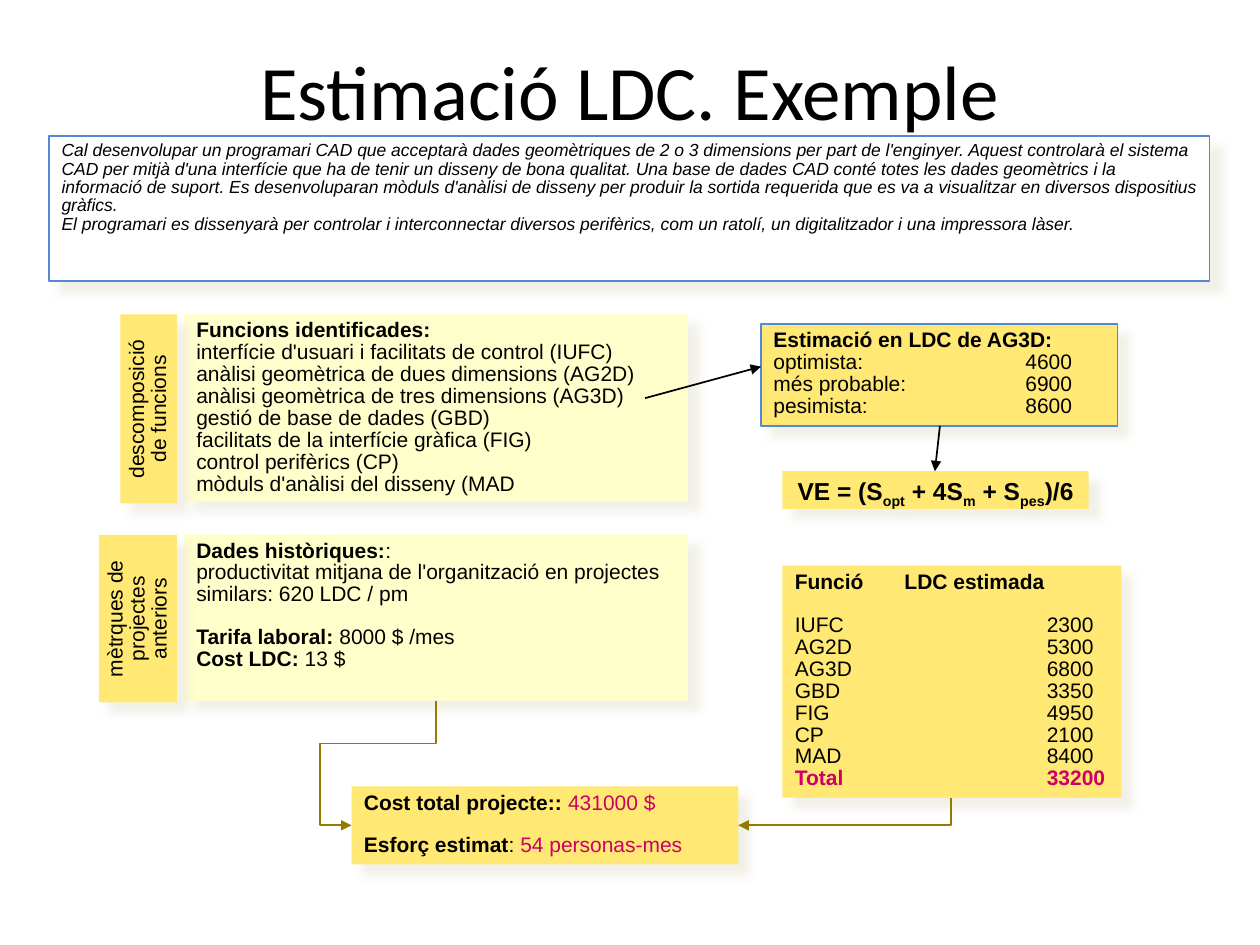
from lxml import etree
from pptx import Presentation
from pptx.dml.color import RGBColor
from pptx.enum import shapes, text
from pptx.oxml import ns
from pptx.util import Inches, Pt

YELLOW, CREAM, WHITE = "FFE873", "FFFFCC", "FFFFFF"
BLUE, GOLD, BLACK, PINK = "5488D4", "947B00", "000000", "CC0066"
BOLD = {"bold": True}
SUB = {"bold": True, "base": -25000}

TITLE = "Estimació LDC. Exemple"
BRIEF = [
    "Cal desenvolupar un programari CAD que acceptarà dades geomètriques de 2 o 3 dimensions "
    "per part de l'enginyer. Aquest controlarà el sistema CAD per mitjà d'una interfície que ha "
    "de tenir un disseny de bona qualitat. Una base de dades CAD conté totes les dades "
    "geomètrics i la informació de suport. Es desenvoluparan mòduls d'anàlisi de disseny per "
    "produir la sortida requerida que es va a visualitzar en diversos dispositius gràfics.",
    "El programari es dissenyarà per controlar i interconnectar diversos perifèrics, com un "
    "ratolí, un digitalitzador i una impressora làser.",
]
FUNCTIONS = [
    "interfície d'usuari i facilitats de control (IUFC)",
    "anàlisi geomètrica de dues dimensions (AG2D)",
    "anàlisi geomètrica de tres dimensions (AG3D)",
    "gestió de base de dades (GBD)",
    "facilitats de la interfície gràfica (FIG)",
    "control perifèrics (CP)",
    "mòduls d'anàlisi del disseny (MAD",
]
ESTIMATES = [("optimista:", 4600), ("més probable:", 6900), ("pesimista:", 8600)]
LDC = [("IUFC", 2300), ("AG2D", 5300), ("AG3D", 6800), ("GBD", 3350),
       ("FIG", 4950), ("CP", 2100), ("MAD", 8400)]
FORMULA = [("VE = (S", BOLD), ("opt", SUB), (" + 4S", BOLD), ("m", SUB),
           (" + S", BOLD), ("pes", SUB), (")/6", BOLD)]


def rgb(value):
    return RGBColor.from_string(value)


def child(parent, tag, **attrs):
    return etree.SubElement(parent, ns.qn(tag), attrs)


def add_run(p, content, size=12, color=BLACK, bold=False, italic=False, base=None, font="Arial"):
    r = p.add_run()
    r.text = content
    f = r.font
    f.name, f.size, f.bold, f.italic = font, Pt(size), bold, italic
    f.color.rgb = rgb(color)
    if base:
        r._r.get_or_add_rPr().set("baseline", str(base))


def add_box(s, at, paragraphs, fill=YELLOW, line=None, rotation=0, align="LEFT",
            gaps=(), tabs=None, **fmt):
    sp = s.shapes.add_shape(shapes.MSO_SHAPE.RECTANGLE, *map(Inches, at))
    sp.rotation = rotation
    sp.fill.solid()
    sp.fill.fore_color.rgb = rgb(fill)
    if line:
        sp.line.color.rgb = rgb(line)
        sp.line.width = Pt(1)
    else:
        sp.line.fill.background()
    sp.shadow.inherit = False
    effects = sp._element.spPr.find(ns.qn("a:effectLst"))
    shadow = child(effects, "a:outerShdw", blurRad=str(Pt(5)), dist=str(Pt(8.5)),
                   dir="2700000", algn="ctr", rotWithShape="0")
    child(child(shadow, "a:srgbClr", val="EEECE1"), "a:alpha", val="75000")
    tf = sp.text_frame
    tf.word_wrap = True
    tf.vertical_anchor = text.MSO_ANCHOR.TOP
    for i, runs in enumerate(paragraphs):
        p = tf.add_paragraph() if i else tf.paragraphs[0]
        p.alignment = getattr(text.PP_ALIGN, align)
        p.line_spacing = 0.87
        if i in gaps:
            p.space_before = Pt(12)
        if tabs:
            stop = tabs[0] if i == 0 else tabs[-1]
            child(child(p._p.get_or_add_pPr(), "a:tabLst"), "a:tab",
                  pos=str(Inches(stop)), algn="l")
        for content, own in [(runs, {})] if isinstance(runs, str) else runs:
            add_run(p, content, **{**fmt, **own})


def add_arrow(s, start, end, color=BLACK, bend=None, adjust=()):
    (x1, y1), (x2, y2) = start, end
    kind = shapes.MSO_CONNECTOR.STRAIGHT
    if bend:
        kind = shapes.MSO_CONNECTOR.ELBOW
        cx, cy = (x1 + x2) / 2, (y1 + y2) / 2
        w, h = abs(y2 - y1), abs(x2 - x1)
        x1, y1, x2, y2 = cx - w / 2, cy - h / 2, cx + w / 2, cy + h / 2
    cn = s.shapes.add_connector(kind, *map(Inches, (x1, y1, x2, y2)))
    cn.line.color.rgb = rgb(color)
    cn.line.width = Pt(1)
    child(cn.line._get_or_add_ln(), "a:tailEnd", type="triangle")
    props = cn._element.spPr
    child(props, "a:effectLst")
    if bend:
        props.find(ns.qn("a:xfrm")).set("rot", "5400000")
        geometry = props.find(ns.qn("a:prstGeom"))
        geometry.set("prst", bend)
        guides = geometry.find(ns.qn("a:avLst"))
        for i, value in enumerate(adjust, 1):
            child(guides, "a:gd", name=f"adj{i}", fmla=f"val {value}")


def rows(pairs):
    return [f"{name}\t{value}" for name, value in pairs]


def main():
    prs = Presentation()
    prs.slide_width, prs.slide_height = Inches(10), Inches(7.5)
    s = prs.slides.add_slide(prs.slide_layouts[5])
    title = s.shapes.title
    title.left, title.top, title.width, title.height = map(Inches, (0.5, 0.09, 9, 1.25))
    title.text_frame.vertical_anchor = text.MSO_ANCHOR.MIDDLE
    p = title.text_frame.paragraphs[0]
    p.alignment = text.PP_ALIGN.CENTER
    add_run(p, TITLE, size=44, font="Calibri")

    add_box(s, (0.39, 1.08, 9.21, 1.15), BRIEF, WHITE, BLUE, size=10, italic=True)
    add_box(s, (1.46, 2.49, 4, 1.49), [[("Funcions identificades:", BOLD)], *FUNCTIONS], CREAM)
    add_box(s, (6.04, 2.57, 2.83, 0.81),
            [[("Estimació en LDC de AG3D:", BOLD)], *rows(ESTIMATES)], line=BLUE, tabs=[2])
    add_box(s, (6.21, 3.74, 2.43, 0.3), [FORMULA], align="CENTER", size=14)
    add_box(s, (6.21, 4.49, 2.69, 1.84),
            [[("Funció\tLDC estimada", BOLD)], *rows(LDC),
             [("Total\t33200", {"bold": True, "color": PINK})]], gaps=[1], tabs=[0.87, 2])
    add_box(s, (1.46, 4.24, 4, 1.32),
            [[("Dades històriques:", BOLD), (":", {})],
             "productivitat mitjana de l'organització en projectes similars: 620 LDC / pm",
             [("Tarifa laboral:", BOLD), (" 8000 $ /mes", {})],
             [("Cost LDC:", BOLD), (" 13 $", {})]], CREAM, gaps=[2])
    add_box(s, (0.43, 3.02, 1.5, 0.45), ["descomposició", "de funcions"],
            rotation=270, align="CENTER")
    add_box(s, (0.43, 4.6, 1.33, 0.62), ["mètrques de", "projectes anteriors"],
            rotation=270, align="CENTER")
    add_box(s, (2.79, 6.24, 3.07, 0.62),
            [[("Cost total projecte:: ", BOLD), ("431000 $", {"color": PINK})],
             [("Esforç estimat", BOLD), (": ", {}), ("54 personas-mes", {"color": PINK})]],
            gaps=[1])

    add_arrow(s, (5.12, 3.16), (6.04, 2.91))
    add_arrow(s, (7.46, 3.38), (7.42, 3.74))
    add_arrow(s, (7.55, 6.33), (5.86, 6.55), GOLD, "bentConnector2")
    add_arrow(s, (3.46, 5.56), (2.79, 6.55), GOLD, "bentConnector4", (34400, 137500))
    prs.save("out.pptx")


if __name__ == "__main__":
    main()
